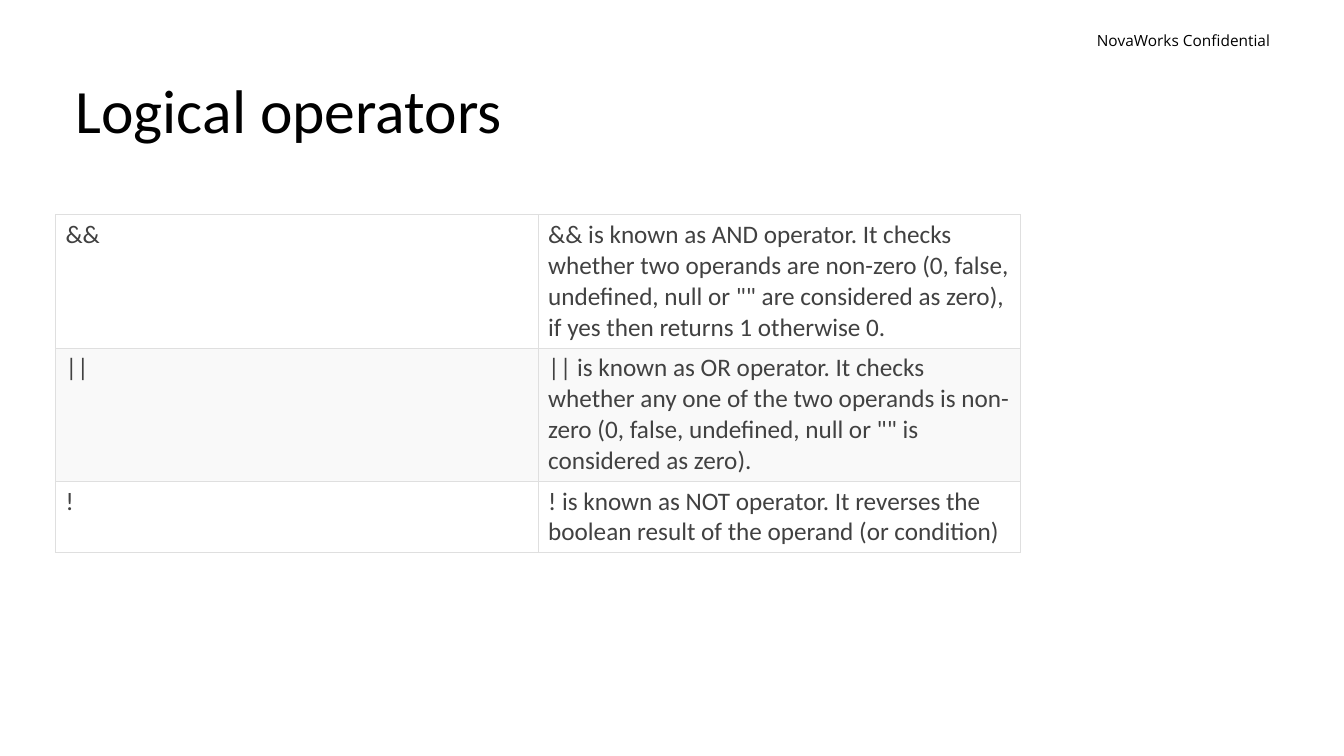
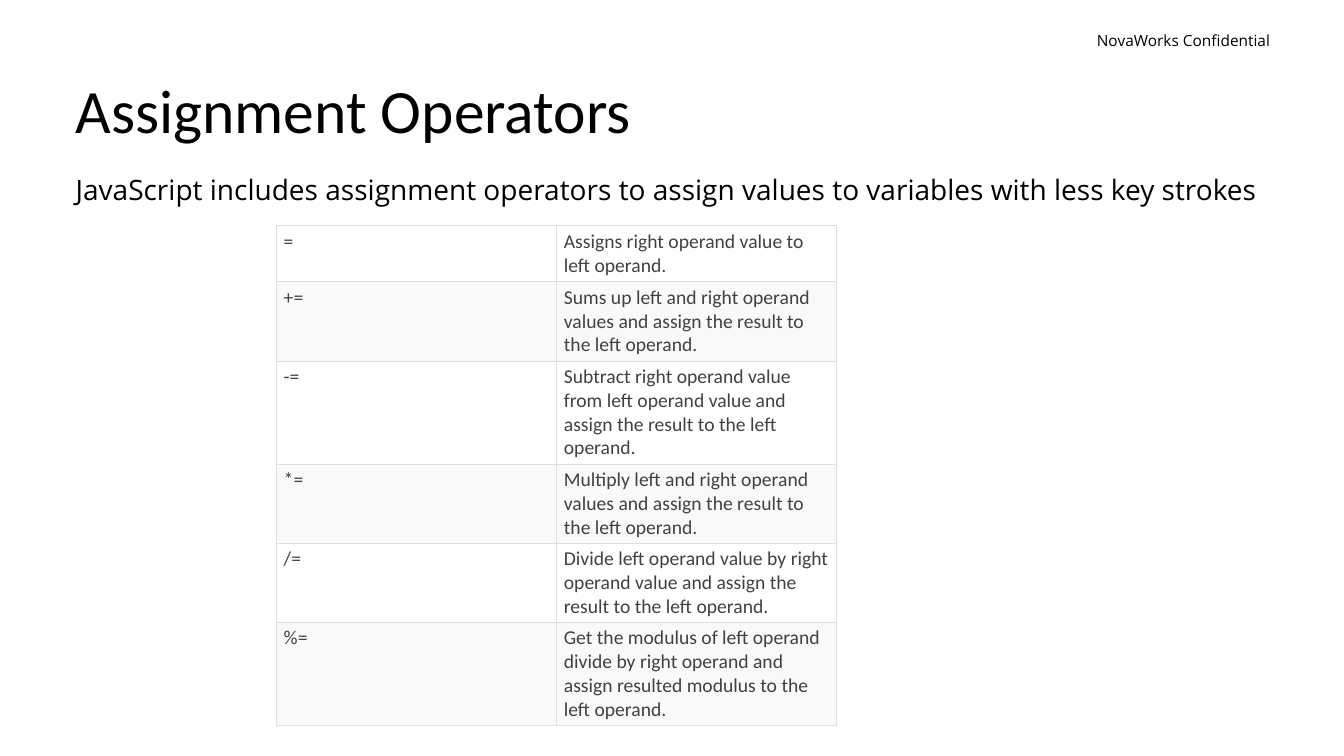
"""Build two slides of JavaScript operator tables."""
from dataclasses import dataclass

import lxml.etree
import pptx
import pptx.dml.color
import pptx.enum.text
import pptx.oxml.ns
import pptx.util


@dataclass(frozen=True)
class Theme:
    """Hold the colours, fonts and type sizes of the deck."""
    ink: str = "000000"
    cell_text: str = "414141"
    border: str = "DFDFDF"
    row_fills: tuple = ("FFFFFF", "F9F9F9")
    heading_font: str = "Calibri"
    text_font: str = "Open Sans"
    title_size: float = 44
    body_size: float = 20
    label_size: float = 11
    border_width: float = 0.6


@dataclass(frozen=True)
class TableStyle:
    """Hold the place and measures of one operator table."""
    left: float
    top: float
    column_width: float
    row_heights: tuple
    text_size: float
    side_margin: float
    end_margin: float


THEME = Theme()
TITLE_AND_BODY, TITLE_ONLY = 1, 5
LABEL = "NovaWorks Confidential"
LAYOUT_FRAMES = {0: (54, 54, 852, 54), 1: (54, 119.5, 852, 270)}

LOGICAL_STYLE = TableStyle(39.6, 153.4, 344.8, (95, 95, 51), 18, 7.2, 3.6)
LOGICAL_OPERATORS = (
    ("&&", '&& is known as AND operator. It checks whether two operands are non-zero '
           '(0, false, undefined, null or "" are considered as zero), '
           'if yes then returns 1 otherwise 0.'),
    ("||", '|| is known as OR operator. It checks whether any one of the two operands '
           'is non-zero (0, false, undefined, null or "" is considered as zero).'),
    ("!", "! is known as NOT operator. It reverses the boolean result of the operand "
          "(or condition)"),
)

ASSIGNMENT_STYLE = TableStyle(197.3, 161.3, 200.1, (40, 56, 73, 56, 56, 73), 14, 5.4, 2.7)
ASSIGNMENT_OPERATORS = (
    ("=", "Assigns right operand value to left operand."),
    ("+=", "Sums up left and right operand values and assign the result to the left operand."),
    ("-=", "Subtract right operand value from left operand value and assign the result "
           "to the left operand."),
    ("*=", "Multiply left and right operand values and assign the result to the left operand."),
    ("/=", "Divide left operand value by right operand value and assign the result "
           "to the left operand."),
    ("%=", "Get the modulus of left operand divide by right operand and assign resulted "
           "modulus to the left operand."),
)


def points(*values):
    """Turn numbers into lengths."""
    return [pptx.util.Pt(value) for value in values]


def add_run(paragraph, text, font, size, color):
    """Add one formatted run."""
    run = paragraph.add_run()
    run.text = text
    run.font.name = font
    run.font.size = pptx.util.Pt(size)
    run.font.color.rgb = pptx.dml.color.RGBColor.from_string(color)


def prepare_layout(layout):
    """Place the title and body placeholders of a layout."""
    for placeholder in layout.placeholders:
        index = placeholder.placeholder_format.idx
        if index not in LAYOUT_FRAMES:
            continue
        (placeholder.left, placeholder.top,
         placeholder.width, placeholder.height) = points(*LAYOUT_FRAMES[index])
        frame = placeholder.text_frame
        frame.margin_left = 0
        frame.auto_size = pptx.enum.text.MSO_AUTO_SIZE.NONE
        anchors = pptx.enum.text.MSO_ANCHOR
        frame.vertical_anchor = anchors.TOP if index else anchors.MIDDLE


def add_master_label(slide, master):
    """Put the confidentiality label on the master."""
    label = slide.shapes.add_textbox(*points(747.4, 18.7, 167, 21))
    frame = label.text_frame
    frame.word_wrap = True
    paragraph = frame.paragraphs[0]
    paragraph.alignment = pptx.enum.text.PP_ALIGN.RIGHT
    add_run(paragraph, LABEL, THEME.text_font, THEME.label_size, THEME.ink)
    master.shapes.element.append(label.element)


def add_slide(presentation, layout_index, title):
    """Add a slide with its title."""
    slide = presentation.slides.add_slide(presentation.slide_layouts[layout_index])
    paragraph = slide.shapes.title.text_frame.paragraphs[0]
    paragraph.alignment = pptx.enum.text.PP_ALIGN.LEFT
    paragraph.line_spacing = 0.9
    add_run(paragraph, title, THEME.heading_font, THEME.title_size, THEME.ink)
    return slide


def fill_body(slide, text):
    """Write one plain paragraph without a bullet in the body."""
    paragraph = slide.placeholders[1].text_frame.paragraphs[0]
    paragraph.space_before = pptx.util.Pt(10)
    add_run(paragraph, text, THEME.text_font, THEME.body_size, THEME.ink)
    properties = paragraph._p.get_or_add_pPr()
    properties.set("marL", "0")
    properties.set("indent", "0")
    lxml.etree.SubElement(properties, pptx.oxml.ns.qn("a:buNone"))


def add_borders(cell):
    """Draw the four borders of a cell."""
    properties = cell._tc.get_or_add_tcPr()
    qualified = pptx.oxml.ns.qn
    for side in "LRTB":
        line = lxml.etree.SubElement(properties, qualified(f"a:ln{side}"))
        line.set("w", str(pptx.util.Pt(THEME.border_width)))
        fill = lxml.etree.SubElement(line, qualified("a:solidFill"))
        lxml.etree.SubElement(fill, qualified("a:srgbClr")).set("val", THEME.border)


def fill_cell(cell, text, fill_color, style):
    """Format a cell and write its text."""
    add_borders(cell)
    cell.fill.solid()
    cell.fill.fore_color.rgb = pptx.dml.color.RGBColor.from_string(fill_color)
    cell.margin_left = cell.margin_right = pptx.util.Pt(style.side_margin)
    cell.margin_top = cell.margin_bottom = pptx.util.Pt(style.end_margin)
    add_run(cell.text_frame.paragraphs[0], text,
            THEME.heading_font, style.text_size, THEME.cell_text)


def add_operator_table(slide, operators, style):
    """Add a table of operators and their meanings."""
    shape = slide.shapes.add_table(
        len(operators), 2,
        *points(style.left, style.top, 2 * style.column_width, sum(style.row_heights)))
    table = shape.table
    table.first_row = table.horz_banding = False
    for column in table.columns:
        column.width = pptx.util.Pt(style.column_width)
    for row_index, texts in enumerate(operators):
        row = table.rows[row_index]
        row.height = pptx.util.Pt(style.row_heights[row_index])
        for cell, text in zip(row.cells, texts):
            fill_cell(cell, text, THEME.row_fills[row_index % 2], style)


def main():
    """Build and save the presentation."""
    presentation = pptx.Presentation()
    presentation.slide_width, presentation.slide_height = points(960, 540)
    for layout_index in (TITLE_AND_BODY, TITLE_ONLY):
        prepare_layout(presentation.slide_layouts[layout_index])

    logical = add_slide(presentation, TITLE_ONLY, "Logical operators")
    add_master_label(logical, presentation.slide_master)
    add_operator_table(logical, LOGICAL_OPERATORS, LOGICAL_STYLE)

    assignment = add_slide(presentation, TITLE_AND_BODY, "Assignment Operators")
    fill_body(assignment, "JavaScript includes assignment operators to assign values "
                          "to variables with less key strokes")
    add_operator_table(assignment, ASSIGNMENT_OPERATORS, ASSIGNMENT_STYLE)

    presentation.save("out.pptx")


if __name__ == "__main__":
    main()
